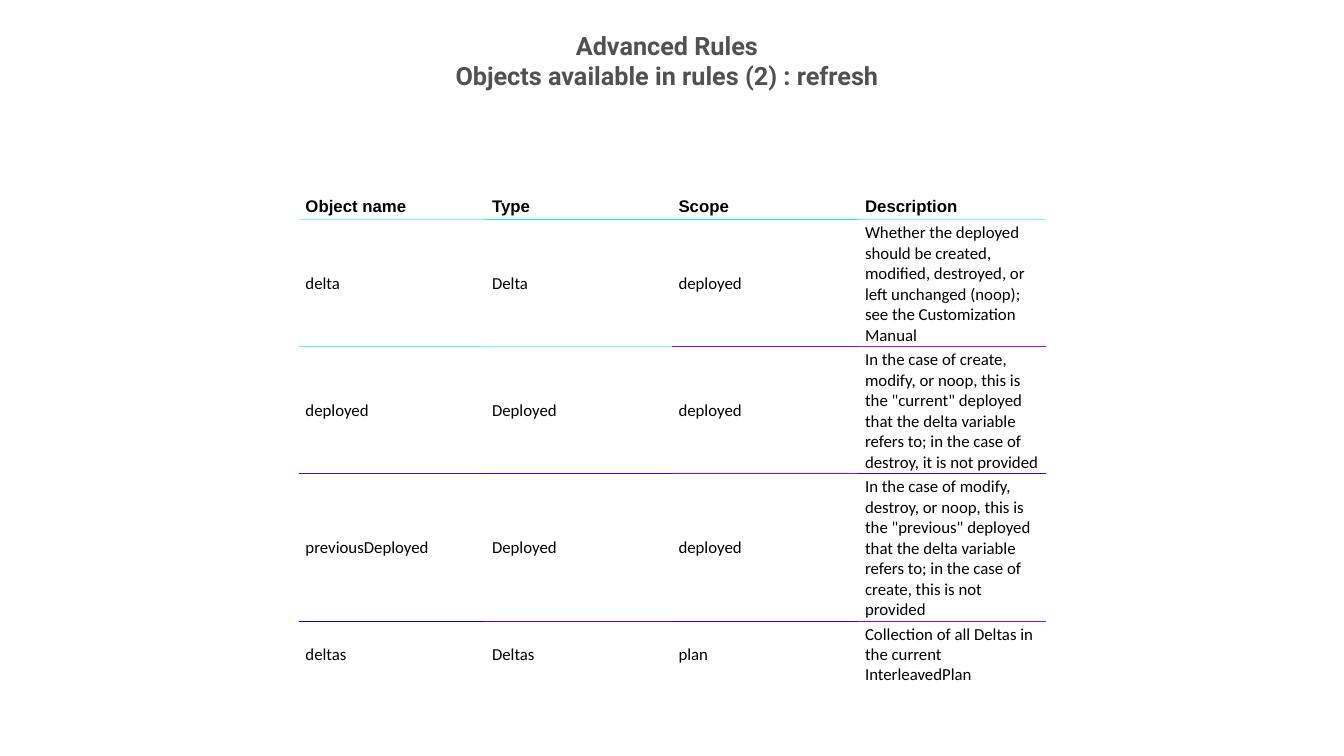
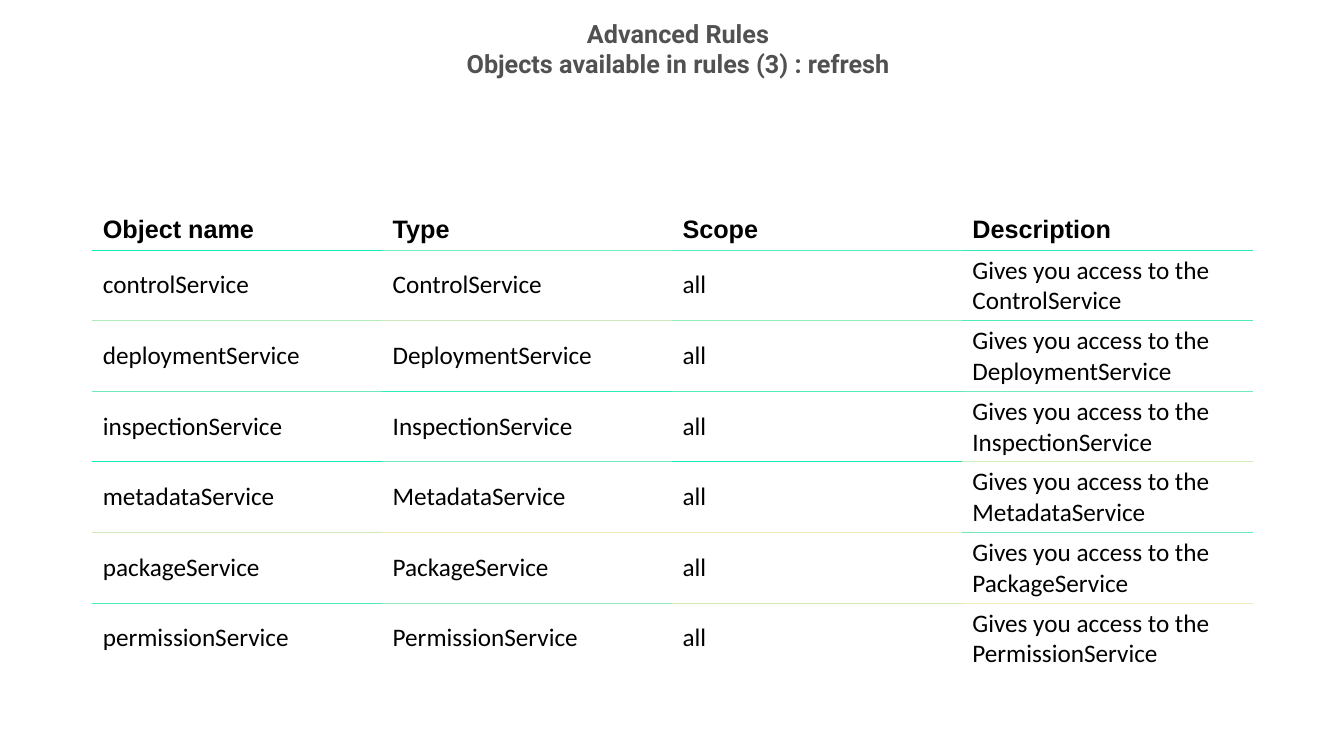
from dataclasses import dataclass

from lxml.etree import SubElement
from pptx import Presentation
from pptx.dml.color import RGBColor
from pptx.enum.text import MSO_ANCHOR, MSO_AUTO_SIZE, PP_ALIGN
from pptx.oxml.ns import qn
from pptx.util import Inches, Pt


@dataclass(frozen=True)
class Theme:
    title_color: str = "515151"
    text_color: str = "000000"
    cell_color: str = "FFFFFF"
    title_font: str = "Roboto"
    header_font: str = "Arial"
    body_font: str = "Calibri"
    title_size: float = 18
    rule_width: float = 0.75


class Deck:
    def __init__(self, theme):
        self.theme = theme
        self.prs = Presentation()
        self.prs.slide_width = Inches(13.33)
        self.prs.slide_height = Inches(7.5)
        self.s = None

    def add_slide(self):
        self.s = self.prs.slides.add_slide(self.prs.slide_layouts[5])

    def add_run(self, p, text, font, size, color, bold):
        r = p.add_run()
        r.text = text
        r.font.name = font
        r.font.size = Pt(size)
        r.font.bold = bold
        r.font.color.rgb = RGBColor.from_string(color)

    def title(self, left, top, lines):
        t = self.theme
        sp = self.s.shapes.title
        sp.left, sp.top = Inches(left), Inches(top)
        sp.width, sp.height = Inches(6.67), Inches(0.71)
        tf = sp.text_frame
        tf.word_wrap = True
        tf.auto_size = MSO_AUTO_SIZE.SHAPE_TO_FIT_TEXT
        tf.vertical_anchor = MSO_ANCHOR.TOP
        for i, line in enumerate(lines):
            p = tf.add_paragraph() if i else tf.paragraphs[0]
            p.alignment = PP_ALIGN.CENTER
            self.add_run(p, line, t.title_font, t.title_size, t.title_color, True)

    def table(self, left, top, width, heights, size, rows, rules, margins):
        t = self.theme
        frame = self.s.shapes.add_table(
            len(rows), len(rows[0]), Inches(left), Inches(top),
            Inches(width), Inches(sum(heights)))
        tbl = frame.table
        tbl.first_row = tbl.horz_banding = False
        for row, height in zip(tbl.rows, heights):
            row.height = Inches(height)
        for i, texts in enumerate(rows):
            for j, text in enumerate(texts):
                cell = tbl.cell(i, j)
                cell.vertical_anchor = MSO_ANCHOR.MIDDLE
                cell.margin_left = cell.margin_right = Inches(margins[0])
                cell.margin_top = cell.margin_bottom = Inches(margins[1])
                if i > 0:
                    self.rule(cell, "a:lnT", rules[i - 1][j])
                if i < len(rules):
                    self.rule(cell, "a:lnB", rules[i][j])
                cell.fill.solid()
                cell.fill.fore_color.rgb = RGBColor.from_string(t.cell_color)
                font = t.body_font if i else t.header_font
                self.add_run(cell.text_frame.paragraphs[0], text, font, size,
                             t.text_color, i == 0)

    def rule(self, cell, side, color):
        ln = SubElement(cell._tc.get_or_add_tcPr(), qn(side),
                        w=str(Pt(self.theme.rule_width)))
        SubElement(SubElement(ln, qn("a:solidFill")), qn("a:srgbClr"), val=color)


HEADER = ("Object name", "Type", "Scope", "Description")

REFRESH_ROWS = [
    HEADER,
    ("delta", "Delta", "deployed",
     "Whether the deployed should be created, modified, destroyed, or left "
     "unchanged (noop); see the Customization Manual"),
    ("deployed", "Deployed", "deployed",
     'In the case of create, modify, or noop, this is the "current" deployed '
     "that the delta variable refers to; in the case of destroy, it is not provided"),
    ("previousDeployed", "Deployed", "deployed",
     'In the case of modify, destroy, or noop, this is the "previous" deployed '
     "that the delta variable refers to; in the case of create, this is not provided"),
    ("deltas", "Deltas", "plan",
     "Collection of all Deltas in the current InterleavedPlan"),
]
REFRESH_RULES = [
    ("80FEEB", "00FDEB", "00FEEB", "80FBEB"),
    ("60FCEB", "80F9EB", "8004EC", "C004EC"),
    ("4008EC", "4005EC", "A006EC", "2001EC"),
    ("0004EC", "6000EC", "2003EC", "A003EC"),
]

SERVICES = ("Control", "Deployment", "Inspection", "Metadata", "Package", "Permission")
SERVICE_ROWS = [HEADER] + [
    (f"{name.lower()}Service", f"{name}Service", "all",
     f"Gives you access to the {name}Service")
    for name in SERVICES
]
SERVICE_RULES = [
    ("10EFBB", "70EFBB", "50EFBB", "30EABB"),
    ("B0ECBB", "D0E9BB", "90EFBB", "50EABB"),
    ("70E9BB", "30ECBB", "50EDBB", "70EBBB"),
    ("10ECBB", "70EBBB", "10ECBB", "D0EDBB"),
    ("D0E9BB", "F0EABB", "F0EBBB", "70EABB"),
    ("50EABB", "90EABB", "D0ECBB", "F0ECBB"),
]


def main():
    deck = Deck(Theme())

    deck.add_slide()
    deck.title(3.28, 0.25, ("Advanced Rules", "Objects available in rules (2) : refresh"))
    deck.table(2.97, 1.92, 7.4, (0.26, 1.22, 1.22, 1.41, 0.64), 12,
               REFRESH_ROWS, REFRESH_RULES, (0.06, 0.03))

    deck.add_slide()
    deck.title(3.39, 0.13, ("Advanced Rules", "Objects available in rules (3) : refresh"))
    deck.table(0.92, 2.08, 11.5, [0.39] + [0.7] * len(SERVICES), 18,
               SERVICE_ROWS, SERVICE_RULES, (0.1, 0.05))

    deck.prs.save("out.pptx")


if __name__ == "__main__":
    main()
